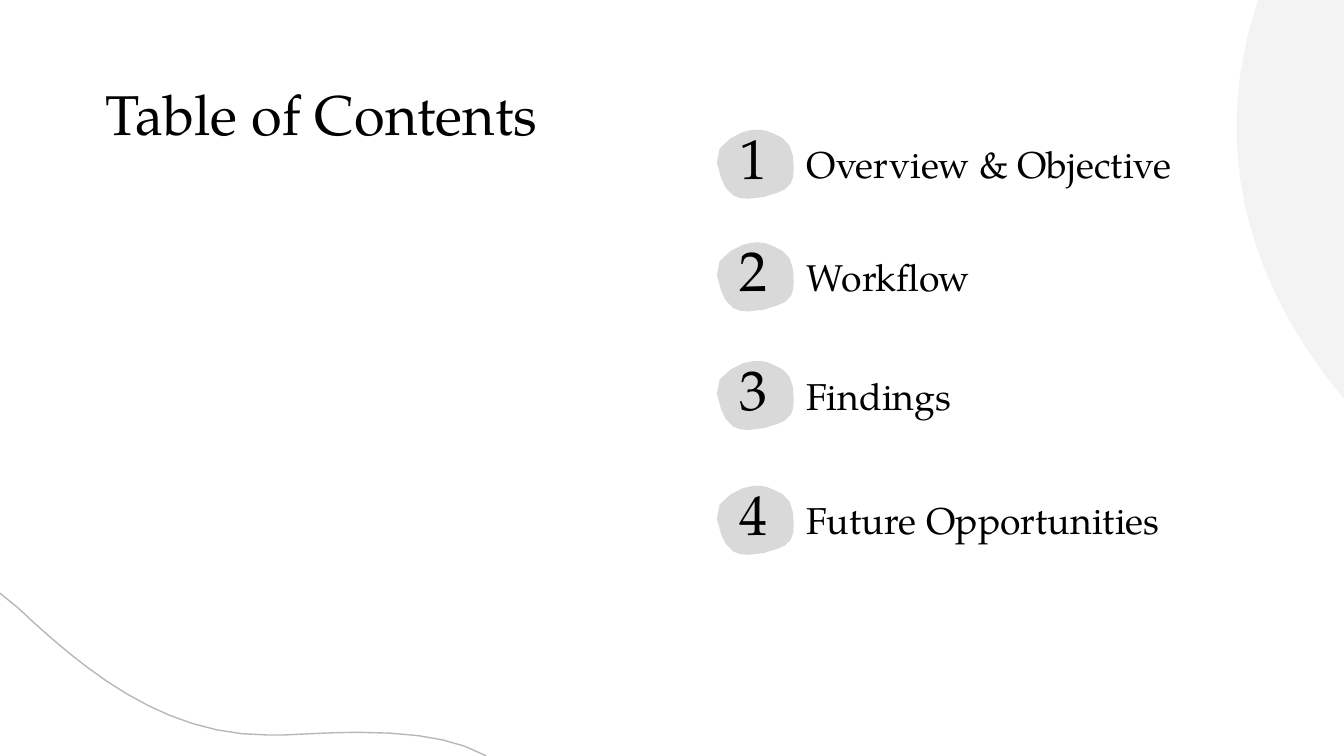
from pptx import Presentation
from pptx.dml.color import RGBColor
from pptx.enum.text import MSO_ANCHOR, MSO_AUTO_SIZE, PP_ALIGN
from pptx.util import Cm, Pt

TOP, MIDDLE, BOTTOM = MSO_ANCHOR.TOP, MSO_ANCHOR.MIDDLE, MSO_ANCHOR.BOTTOM
LEFT, CENTER = PP_ALIGN.LEFT, PP_ALIGN.CENTER
NO_AUTOFIT = MSO_AUTO_SIZE.NONE
FONT = "TeX Gyre Pagella"

# Content
TITLE = "Table of Contents"
# section, badge top (cm), label width (cm)
SECTIONS = [
    ("Overview & Objective", 2.45, 7.85),
    ("Workflow", 4.58, 5.31),
    ("Findings", 6.82, 5.31),
    ("Future Opportunities", 9.18, 8.56),
]

# Outlines in hundredths of an inch: start point, then points (line)
# or control, control, end (curve)
UNIT = Cm(2.54) // 100
STEP_LENGTH = 16
DISC = [(1076, 0), [(1076, 367)], [(1068, 363), (862, 219), (936, 0)]]
WAVE = [
    (403, 608),
    [(379, 560), (341, 545), (266, 545)],
    [(250, 545), (231, 546), (211, 547)],
    [(207, 547), (203, 547), (199, 547)],
    [(120, 547), (61, 497), (13, 452)],
    [(-13, 428), (-42, 417), (-71, 417)],
    [(-105, 417), (-138, 434), (-159, 467)],
    [(-159, 608)],
]
BADGE = [
    (32, 0),
    [(28, 0), (25, 1), (21, 2)],
    [(15, 4), (9, 8), (4, 14)],
    [(0, 20), (2, 29), (5, 36)],
    [(7, 41), (9, 46), (14, 49)],
    [(17, 51), (21, 51.5), (25, 51.5)],
    [(33, 51), (41, 50), (47, 47)],
    [(51, 46), (54, 44), (57, 40)],
    [(59, 37), (59, 33), (59, 29)],
    [(59, 23), (59, 17), (56, 12)],
    [(53, 8), (49, 4), (44, 3)],
    [(41, 1), (36, 0), (32, 0)],
]


def color(hex_value):
    return RGBColor.from_string(hex_value)


def trace(outline):
    """Turn lines and Bezier curves into points, more of them on long curves."""
    points = [outline[0]]
    for segment in outline[1:]:
        if len(segment) == 1:
            points += segment
            continue
        a, (b, c, d) = points[-1], segment
        span = max(abs(d[0] - a[0]), abs(d[1] - a[1]))
        steps = max(2, round(span / STEP_LENGTH))
        for step in range(1, steps + 1):
            t = step / steps
            u = 1 - t
            points.append(tuple(
                u**3 * a[i] + 3 * u * u * t * b[i] + 3 * u * t * t * c[i] + t**3 * d[i]
                for i in (0, 1)))
    return points


def add_outline(slide, outline, left=0, top=0, fill=None, line=None):
    points = [(round(left + x * UNIT), round(top + y * UNIT)) for x, y in trace(outline)]
    builder = slide.shapes.build_freeform(*points[0])
    builder.add_line_segments(points[1:], close=True)
    shape = builder.convert_to_shape()
    shape.shadow.inherit = False
    if fill:
        shape.fill.solid()
        shape.fill.fore_color.rgb = color(fill)
    else:
        shape.fill.background()
    if line:
        shape.line.color.rgb = color(line)
        shape.line.width = Pt(0.75)
    else:
        shape.line.fill.background()


def write(shape, text, size=20, align=LEFT, anchor=MIDDLE, inset=Cm(0.25)):
    frame = shape.text_frame
    frame.word_wrap = True
    frame.auto_size = NO_AUTOFIT
    frame.vertical_anchor = anchor
    frame.margin_left = frame.margin_right = inset
    frame.margin_top = frame.margin_bottom = inset
    paragraph = frame.paragraphs[0]
    paragraph.alignment = align
    run = paragraph.add_run()
    run.text = text
    run.font.name = FONT
    run.font.size = Pt(size)
    run.font.color.rgb = color("000000")


def main():
    prs = Presentation()
    prs.slide_width, prs.slide_height = Cm(25.4), Cm(14.29)
    slide = prs.slides.add_slide(prs.slide_layouts[5])

    # Background decoration
    add_outline(slide, DISC, fill="F3F3F3")
    add_outline(slide, WAVE, line="B7B7B7")

    # Title
    title = slide.shapes.title
    title.left, title.top, title.width, title.height = Cm(2), Cm(1.5), Cm(21.4), Cm(1.6)
    write(title, TITLE, size=30, anchor=TOP, inset=0)

    # Numbered sections
    for number, (section, top, width) in enumerate(SECTIONS, 1):
        add_outline(slide, BADGE, Cm(13.5), Cm(top), fill="D9D9D9")
        label = slide.shapes.add_textbox(Cm(15), Cm(top + 0.14), Cm(width), Cm(1.02))
        write(label, section)
        numeral = slide.shapes.add_textbox(Cm(13.4), Cm(top + 0.16), Cm(1.68), Cm(1.24))
        write(numeral, str(number), size=30, align=CENTER, anchor=BOTTOM)

    prs.save("out.pptx")


if __name__ == "__main__":
    main()
